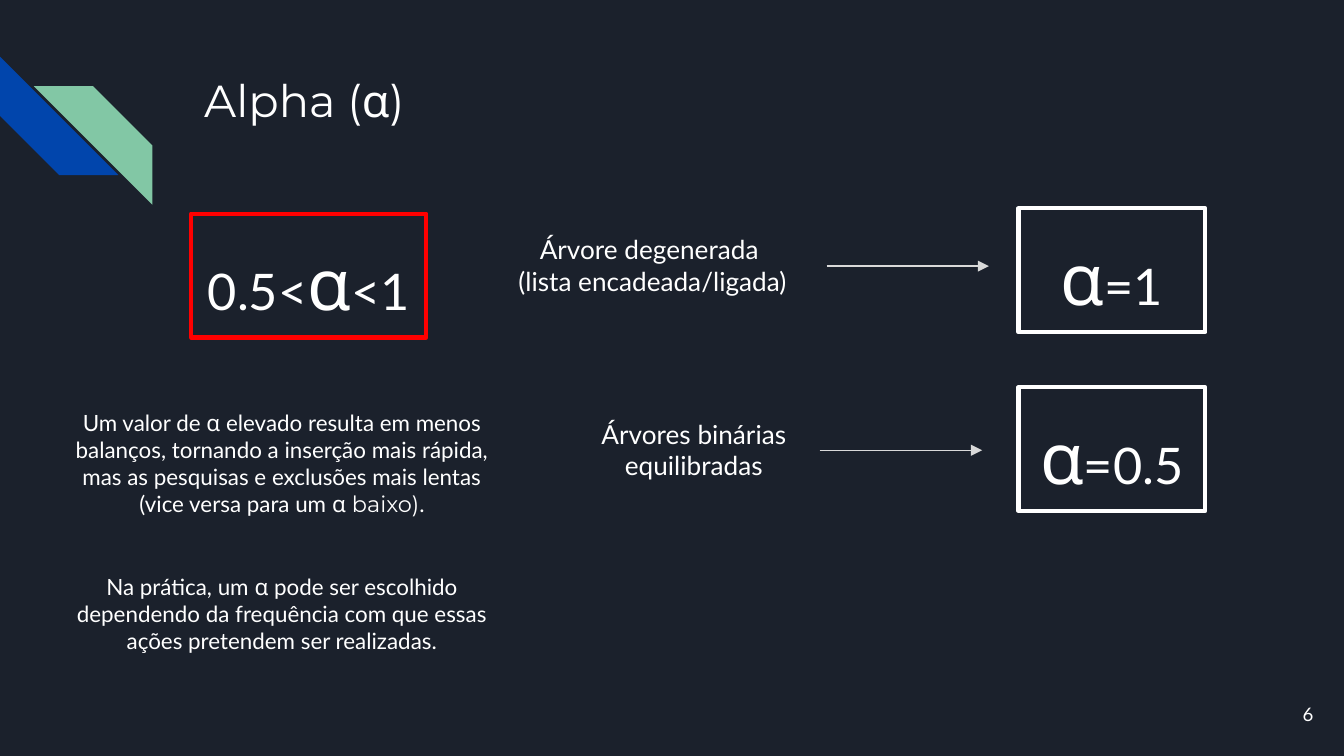
import pptx
import pptx.util
import pptx.dml.color
import pptx.enum.shapes
import pptx.enum.text
import pptx.oxml.ns
import lxml.etree

Cm, Pt = pptx.util.Cm, pptx.util.Pt
KIND = pptx.enum.shapes.MSO_SHAPE
ALIGN = pptx.enum.text.PP_ALIGN
ANCHOR = pptx.enum.text.MSO_ANCHOR
LATO, MONT = "Lato", "Montserrat"
DARK, WHITE, GREY, RED = "1B212C", "FFFFFF", "D9D9D9", "FF0000"

TITLE = "Alpha (α)"
STRIPES = [
    (0, 1.07, 270, "0145AC"),
    (0.64, 1.63, 90, "82C7A5"),
]
ALPHA = ("α", MONT, 38)
RULES = [
    ((3.61, 4.04, 4.45), RED, [("0.5<", LATO, 27), ALPHA, ("<1", LATO, 27)]),
    ((19.25, 3.94, 3.53), WHITE, [ALPHA, ("=1", LATO, 27)]),
    ((19.25, 7.32, 3.53), WHITE, [ALPHA, ("=0.5", LATO, 27)]),
]
TREES = [
    ((9.45, 4.17, 5.77, 1.7), ["Árvore degenerada ", "(lista encadeada/ligada)"]),
    ((10.74, 7.65, 4.75, 1.7), ["Árvores binárias equilibradas"]),
]
ARROWS = [(15.62, 5.03), (15.49, 8.51)]
REACH = 3.07
NOTES = [
    ((1.09, 7.49, 8.48, 2.54), [
        ("Um valor de ", LATO),
        ("α", MONT),
        (" elevado resulta em menos balanços, tornando a inserção mais rápida, "
         "mas as pesquisas e exclusões mais lentas (vice versa para um ", LATO),
        ("α baixo)", MONT),
        (".", LATO),
    ]),
    ((1.09, 10.59, 8.48, 2.03), [
        ("Na prática, um ", LATO),
        ("α", MONT),
        (" pode ser escolhido dependendo da frequência com que essas ações "
         "pretendem ser realizadas.", LATO),
    ]),
]


def tint(code):
    return pptx.dml.color.RGBColor.from_string(code)


def write(shape, paras, font=LATO, size=14, align=ALIGN.CENTER,
          anchor=ANCHOR.TOP, space=None, after=None):
    frame = shape.text_frame
    frame.word_wrap = True
    frame.vertical_anchor = anchor
    frame.margin_left = frame.margin_right = Cm(0.25)
    frame.margin_top = frame.margin_bottom = Cm(0.25)
    for i, runs in enumerate(paras):
        para = frame.add_paragraph() if i else frame.paragraphs[0]
        para.alignment = align
        para.line_spacing = space
        para.space_after = after
        for part in [(runs,)] if isinstance(runs, str) else runs:
            run = para.add_run()
            run.text = part[0]
            run.font.name = part[1] if len(part) > 1 else font
            run.font.size = Pt(part[2] if len(part) > 2 else size)
            run.font.color.rgb = tint(WHITE)


def place(spot):
    return [Cm(n) for n in spot]


deck = pptx.Presentation()
deck.slide_width, deck.slide_height = Cm(25.4), Cm(14.29)
slide = deck.slides.add_slide(deck.slide_layouts[5])
slide.background.fill.solid()
slide.background.fill.fore_color.rgb = tint(DARK)
shapes = slide.shapes

for left, top, turn, code in STRIPES:
    stripe = shapes.add_shape(KIND.DIAGONAL_STRIPE, *place((left, top, 2.24, 2.24)))
    stripe.shadow.inherit = False
    stripe.rotation = turn
    stripe.fill.solid()
    stripe.fill.fore_color.rgb = tint(code)
    stripe.line.fill.background()

title = shapes.title
title.left, title.top, title.width, title.height = place((3.61, 1.12, 19.56, 2.54))
write(title, [TITLE], font=MONT, size=24, align=ALIGN.LEFT)

for spot, code, runs in RULES:
    box = shapes.add_shape(KIND.RECTANGLE, *place(spot + (2.34,)))
    box.shadow.inherit = False
    box.fill.background()
    box.line.color.rgb = tint(code)
    box.line.width = Pt(2.25)
    write(box, [runs], space=1.15, after=Pt(16))

for spot, paras in TREES:
    write(shapes.add_textbox(*place(spot)), paras)

for spot, runs in NOTES:
    write(shapes.add_textbox(*place(spot)), [runs], size=12)

for left, top in ARROWS:
    arrow = shapes.add_connector(pptx.enum.shapes.MSO_CONNECTOR.STRAIGHT,
                                 *place((left, top, left + REACH, top)))
    arrow.line.color.rgb = tint(GREY)
    arrow.line.width = Pt(0.75)
    qn = pptx.oxml.ns.qn
    tip = lxml.etree.SubElement(arrow.line._get_or_add_ln(), qn("a:tailEnd"))
    tip.set("type", "triangle")
    lxml.etree.SubElement(arrow._element.spPr, qn("a:effectLst"))

write(shapes.add_textbox(*place((23.55, 12.95, 1.52, 1.09))), ["6"],
      size=10, align=ALIGN.RIGHT, anchor=ANCHOR.MIDDLE)

deck.save("out.pptx")
